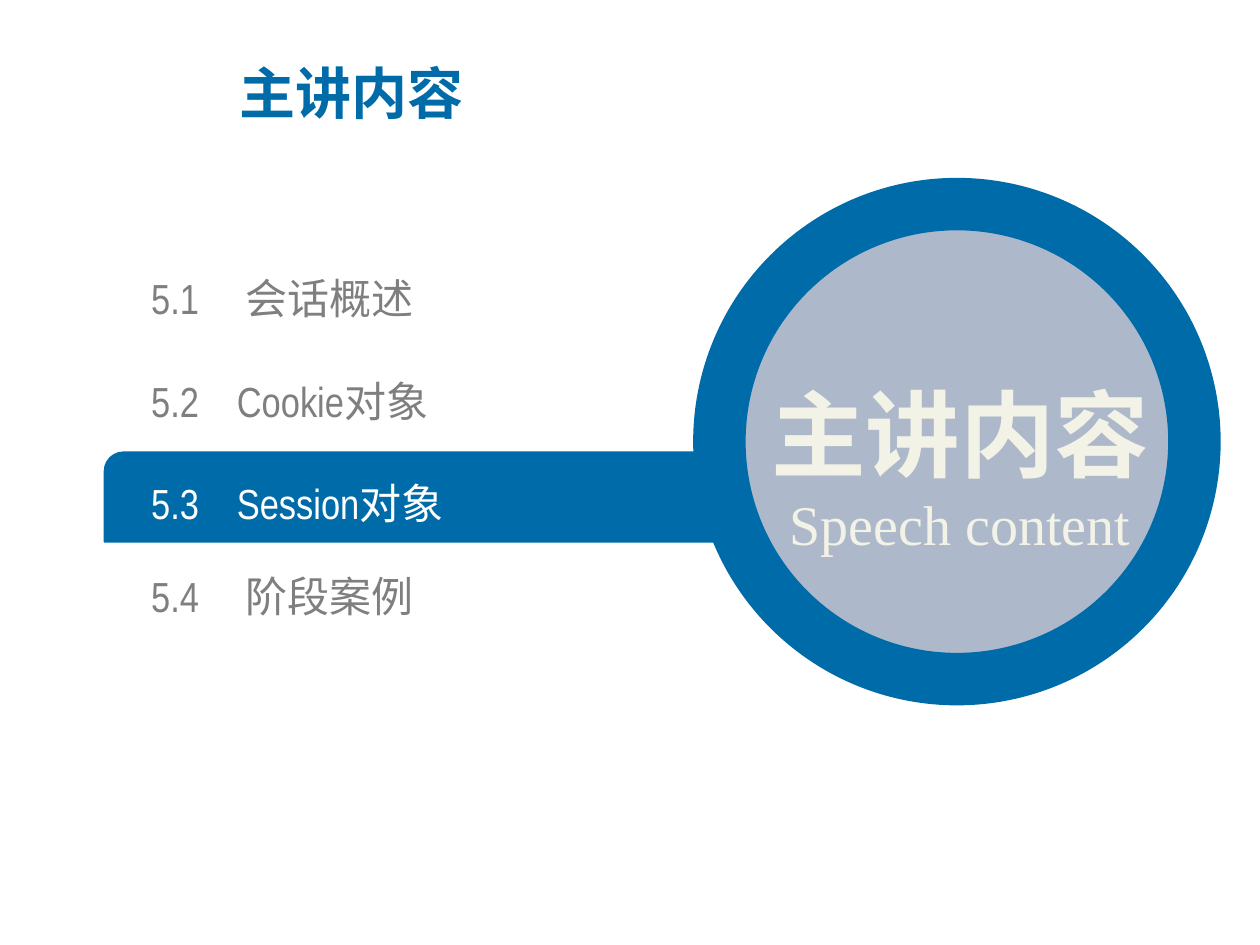
from lxml import etree
from pptx import Presentation
from pptx.dml.color import RGBColor
from pptx.enum import shapes, text
from pptx.oxml.ns import qn
from pptx.util import Inches, Pt

BLUE, GREY, WHITE, CREAM, MIST = "006BA9", "7F7F7F", "FFFFFF", "F2F2E6", "ADB9CA"
HAN, NARROW, SERIF = "Noto Sans CJK SC", "Arial Narrow", "Times New Roman"

TITLE = "主讲内容"
# number, topic, top, tab stop, text colour
TOPICS = [
    ("5.1", "会话概述", 2.16, 0.75, GREY),
    ("5.2", "Cookie对象", 2.98, 0.68, GREY),
    ("5.3", "Session对象", 3.79, 0.68, WHITE),
    ("5.4", "阶段案例", 4.53, 0.75, GREY),
]


def color(code):
    return RGBColor.from_string(code)


def add_form(kind, box, fill, line, width):
    form = slide.shapes.add_shape(kind, *map(Inches, box))
    form.shadow.inherit = False
    form.fill.solid()
    form.fill.fore_color.rgb = color(fill)
    form.line.color.rgb = color(line)
    form.line.width = Pt(width)
    return form


def add_frame(box, inset=True):
    frame = slide.shapes.add_textbox(*map(Inches, box)).text_frame
    frame.word_wrap = True
    frame.vertical_anchor = text.MSO_ANCHOR.MIDDLE
    if not inset:
        frame.margin_left = frame.margin_right = 0
        frame.margin_top = frame.margin_bottom = 0
    return frame


def write(para, words, size, face, ink, bold=False, align=None, space=None):
    run = para.add_run()
    run.text = words
    run.font.size = Pt(size)
    run.font.name = face
    run.font.bold = bold
    run.font.color.rgb = color(ink)
    east = etree.SubElement(run.font._element, qn("a:ea"))
    east.set("typeface", HAN)
    para.alignment = align
    para.line_spacing = space


def add_tab(para, stop):
    tabs = etree.SubElement(para._p.get_or_add_pPr(), qn("a:tabLst"))
    etree.SubElement(tabs, qn("a:tab"), pos=str(Inches(stop)), algn="l")


deck = Presentation()
deck.slide_width, deck.slide_height = Inches(10), Inches(7.5)
slide = deck.slides.add_slide(deck.slide_layouts[6])

bar = add_form(shapes.MSO_SHAPE.ROUND_2_DIAG_RECTANGLE,
               (0.83, 3.59, 5.35, 0.71), BLUE, BLUE, 1)
bar.adjustments[0], bar.adjustments[1] = 0.21, 0

for number, topic, top, stop, ink in TOPICS:
    para = add_frame((1.2, top, 4.19, 0.4), inset=False).paragraphs[0]
    add_tab(para, stop)
    write(para, f"{number}\t{topic}", 24, NARROW, ink)

add_form(shapes.MSO_SHAPE.OVAL, (5.71, 1.62, 3.77, 3.77), MIST, BLUE, 30)

center = text.PP_ALIGN.CENTER
label = add_frame((5.67, 2.48, 3.9, 2))
write(label.paragraphs[0], TITLE, 54, HAN, CREAM, bold=True, align=center, space=1.5)
write(label.add_paragraph(), "Speech content", 32, SERIF, CREAM, align=center)

head = add_frame((1.8, 0.43, 5.41, 0.61))
write(head.paragraphs[0], TITLE, 32, HAN, BLUE, bold=True)

deck.save("out.pptx")
